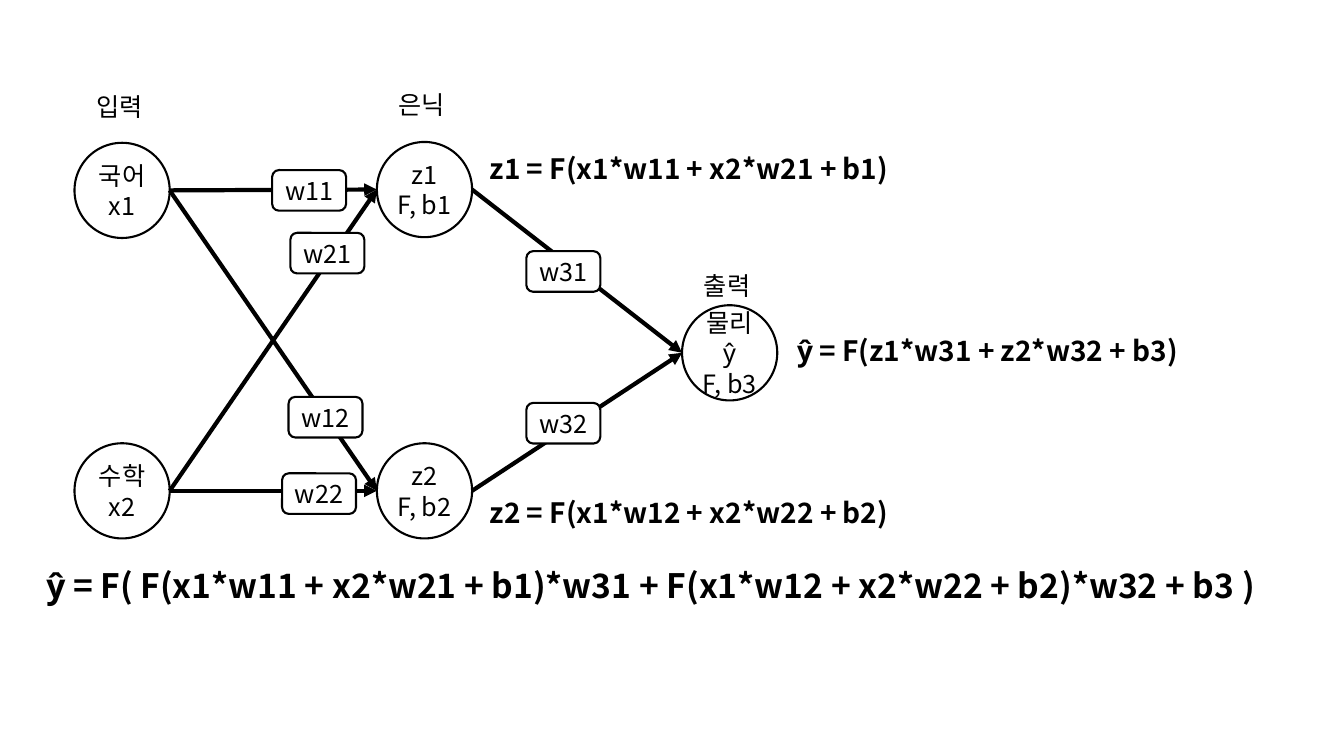
from dataclasses import dataclass

from lxml.etree import SubElement as Sub
from pptx import Presentation
from pptx.dml.color import RGBColor as RGB
from pptx.enum.shapes import MSO_CONNECTOR as Conn, MSO_SHAPE as Kind
from pptx.enum.text import MSO_ANCHOR as Anchor, MSO_AUTO_SIZE as Fit, PP_ALIGN as Align
from pptx.oxml.ns import qn
from pptx.util import Pt


@dataclass(frozen=True)
class Theme:
    font: str = "Noto Sans CJK KR"
    ink: RGB = RGB(0, 0, 0)
    paper: RGB = RGB(255, 255, 255)
    small: float = 18
    mid: float = 20
    big: float = 24
    edge: float = 1.5
    bold: float = 3


class Board:
    """Draws network parts on one slide; all lengths are in points."""

    def __init__(self, slide, theme):
        self.shapes = slide.shapes
        self.theme = theme

    def put(self, frame, lines, size, bold=False, align=Align.LEFT):
        """Fill a text frame, one paragraph a line."""
        frame.word_wrap = False
        for i, line in enumerate(lines):
            para = frame.paragraphs[0] if i == 0 else frame.add_paragraph()
            para.alignment = align
            run = para.add_run()
            run.text = line
            font = run.font
            font.name, font.size, font.bold = self.theme.font, Pt(size), bold
            font.color.rgb = self.theme.ink
            Sub(run._r.get_or_add_rPr(), qn("a:ea"), typeface=self.theme.font)

    def text(self, x, y, wide, high, line, size, bold=False):
        box = self.shapes.add_textbox(Pt(x), Pt(y), Pt(wide), Pt(high))
        self.put(box.text_frame, [line], size, bold)
        box.text_frame.auto_size = Fit.SHAPE_TO_FIT_TEXT

    def shape(self, kind, mid, wide, high, lines):
        """Add an outlined shape centred on mid."""
        x, y = mid
        item = self.shapes.add_shape(
            kind, Pt(x - wide / 2), Pt(y - high / 2), Pt(wide), Pt(high))
        item.shadow.inherit = False
        item.fill.solid()
        item.fill.fore_color.rgb = self.theme.paper
        item.line.color.rgb = self.theme.ink
        item.line.width = Pt(self.theme.edge)
        item.text_frame.vertical_anchor = Anchor.MIDDLE
        self.put(item.text_frame, lines, self.theme.small, align=Align.CENTER)

    def node(self, mid, lines):
        self.shape(Kind.OVAL, mid, NODE, NODE, lines)

    def weight(self, mid, name):
        self.shape(Kind.ROUNDED_RECTANGLE, mid, 52.8, 29, [name])

    def link(self, start, end):
        """Add an arrow from the right of one node to the left of another."""
        (x1, y1), (x2, y2) = start, end
        line = self.shapes.add_connector(
            Conn.STRAIGHT, Pt(x1 + NODE / 2), Pt(y1), Pt(x2 - NODE / 2), Pt(y2))
        line.line.color.rgb = self.theme.ink
        line.line.width = Pt(self.theme.bold)
        Sub(line.line._get_or_add_ln(), qn("a:tailEnd"), type="triangle")
        Sub(line._element.spPr, qn("a:effectLst"))


NODE = 68
TOP, LOW = 136, 350.6
MIDS = {
    "x1": (87.2, TOP), "x2": (87.2, LOW),
    "z1": (303.2, TOP - 0.6), "z2": (303.2, LOW),
    "y": (521.2, 252),
}
NODES = {
    "x1": ["국어", "x1"], "x2": ["수학", "x2"],
    "z1": ["z1", "F, b1"], "z2": ["z2", "F, b2"],
    "y": ["물리", "ŷ", "F, b3"],
}
LAYERS = [("입력", "x1", 61.8), ("은닉", "z1", 60.5), ("출력", "y", 189.4)]
LINKS = [
    ("x1", "z1", "w11", (220.8, 136)), ("x1", "z2", "w12", (232.5, 298)),
    ("x2", "z1", "w21", (233.8, 180.8)), ("x2", "z2", "w22", (227.9, 352.6)),
    ("z1", "y", "w31", (402.4, 193.9)), ("z2", "y", "w32", (402.4, 302.3)),
]
SUMS = [
    (342.7, 104.4, 314, "z1 = F(x1*w11 + x2*w21 + b1)"),
    (342.7, 350.4, 314, "z2 = F(x1*w12 + x2*w22 + b2)"),
    (562.3, 234.4, 301, "ŷ = F(z1*w31 + z2*w32 + b3)"),
]
RESULT = "ŷ = F( F(x1*w11 + x2*w21 + b1)*w31 + F(x1*w12 + x2*w22 + b2)*w32 + b3 )"


def main():
    deck = Presentation()
    deck.slide_width, deck.slide_height = Pt(960), Pt(540)
    theme = Theme()
    board = Board(deck.slides.add_slide(deck.slide_layouts[6]), theme)

    for key, lines in NODES.items():
        board.node(MIDS[key], lines)
    for name, key, y in LAYERS:
        board.text(MIDS[key][0] - 25.5, y, 51, 29, name, theme.small)
    for start, end, _, _ in LINKS:
        board.link(MIDS[start], MIDS[end])
    for _, _, name, mid in LINKS:
        board.weight(mid, name)
    for x, y, wide, line in SUMS:
        board.text(x, y, wide, 31.5, line, theme.mid, True)
    board.text(26, 400.3, 924, 36, RESULT, theme.big, True)
    deck.save("out.pptx")


if __name__ == "__main__":
    main()
